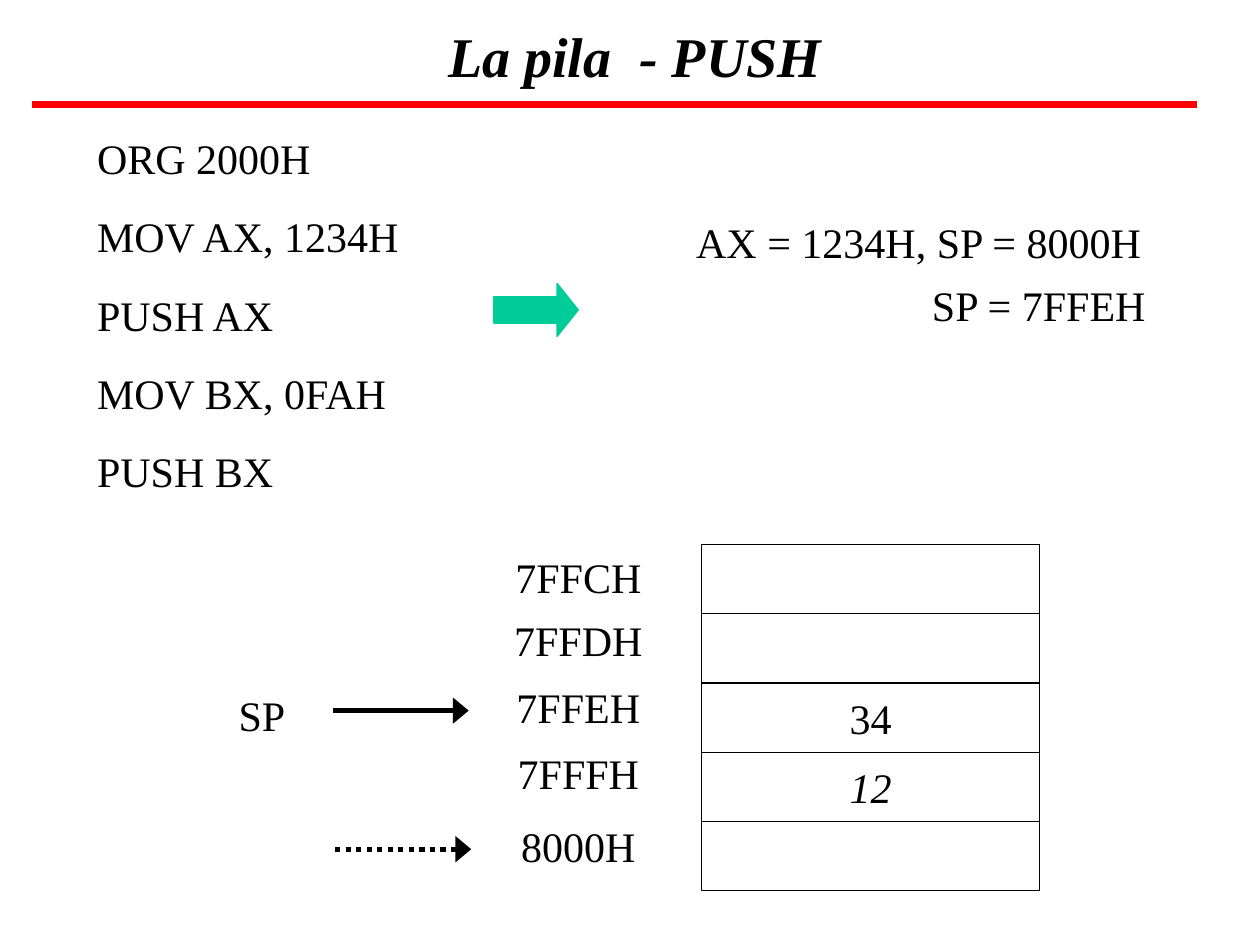
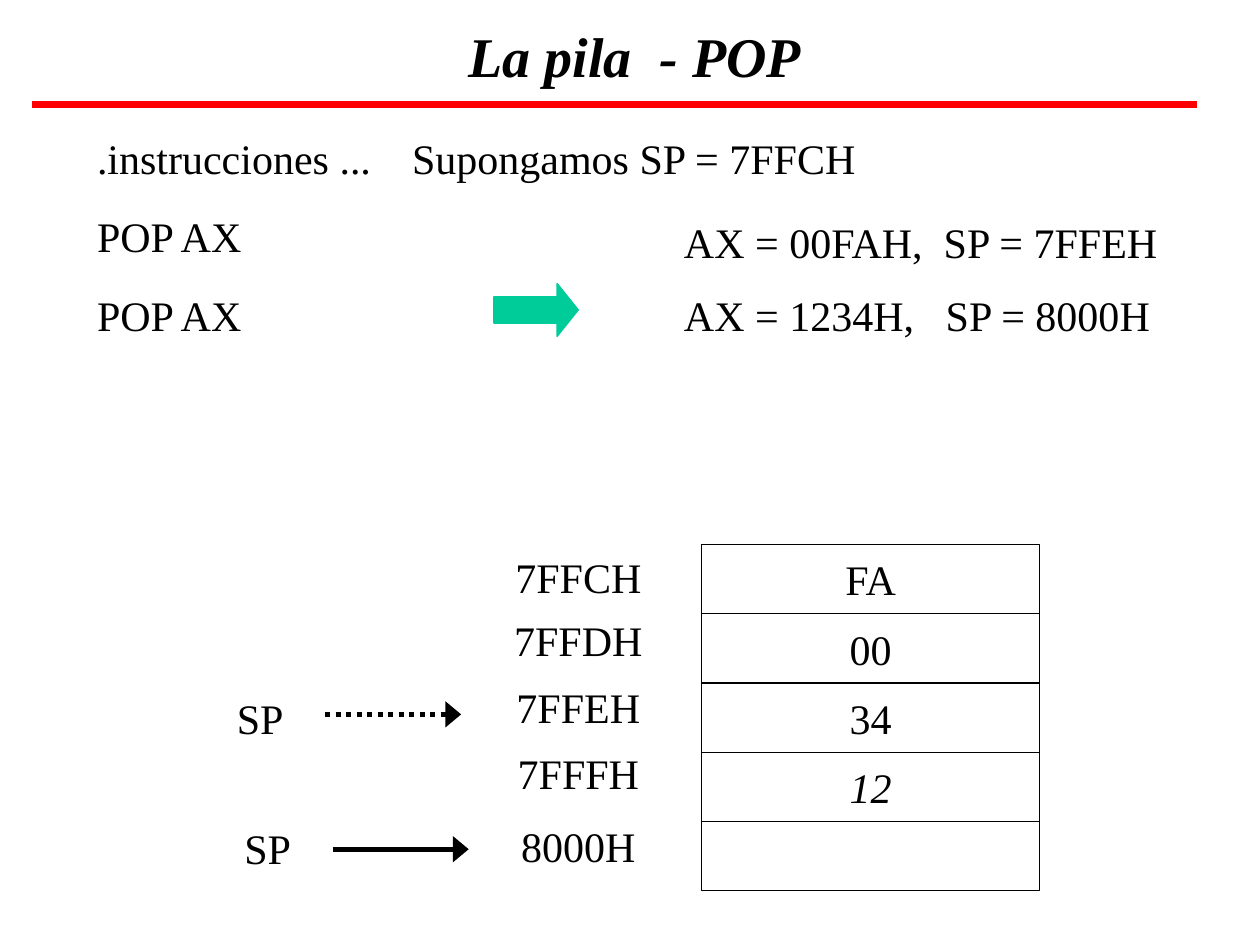
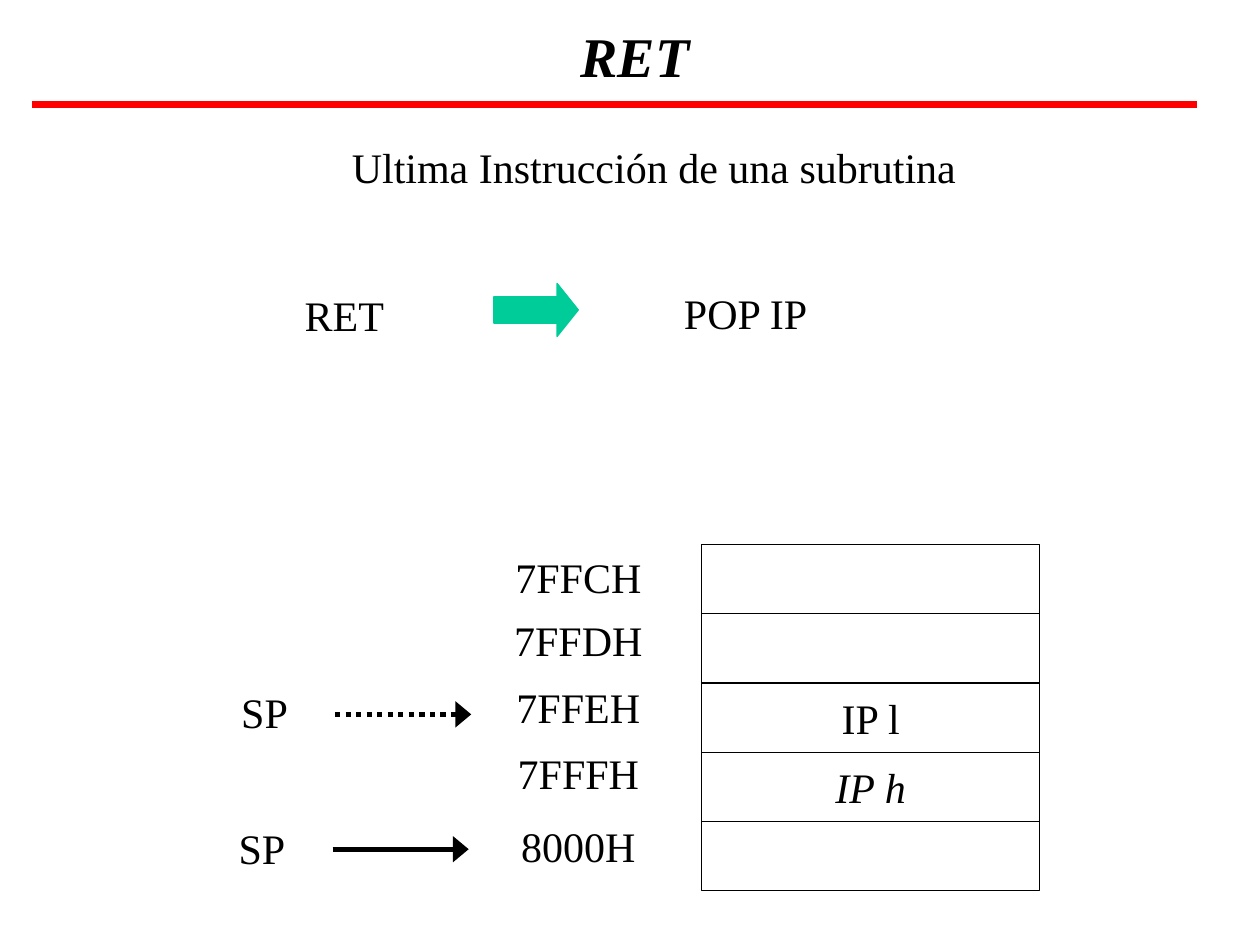
from lxml import etree
from pptx import Presentation
from pptx import util as u
from pptx.dml import color
from pptx.enum import dml, shapes, text
from pptx.oxml import ns

FONT = "Times New Roman"
BLACK, RED, GREEN = "000000", "FF0000", "00CC99"
LEFT, CENTER, RIGHT = text.PP_ALIGN.LEFT, text.PP_ALIGN.CENTER, text.PP_ALIGN.RIGHT
STACK_X, STACK_Y, CELL_W, CELL_H = 5.57, 4.32, 2.68, 0.55
ADDRESSES = [("7FFCH", 4.33), ("7FFDH", 4.83), ("7FFEH", 5.36), ("7FFFH", 5.88), ("8000H", 6.46)]


def rgb(value):
    """Turn a hex string into a colour."""
    return color.RGBColor.from_string(value)


def box(x, y, w, h):
    """Give left, top, width and height as lengths."""
    return [u.Inches(v) for v in (x, y, w, h)]


def child(parent, tag, **attributes):
    """Append a DrawingML element."""
    return etree.SubElement(parent, ns.qn(tag), attributes)


def style(p, align, size=24, bold=False, italic=False):
    """Align a paragraph and format its runs."""
    p.alignment = align
    for r in p.runs:
        r.font.name, r.font.size = FONT, u.Pt(size)
        r.font.bold, r.font.italic = bold, italic
        r.font.color.rgb = rgb(BLACK)


def place(sp, x, y, w, h):
    """Move and size a placeholder."""
    sp.left, sp.top, sp.width, sp.height = box(x, y, w, h)


def add_title(s, title):
    """Fill the title and underline it with the red rule."""
    sp = s.shapes.title
    place(sp, 0.83, 0.02, 8.42, 0.83)
    tf = sp.text_frame
    tf.text = title
    tf.vertical_anchor = text.MSO_ANCHOR.MIDDLE
    style(tf.paragraphs[0], CENTER, 32, True, True)
    add_line(s, 0.25, 9.5, 0.83, RED, 4)


def add_body(s, lines, x, y, h, align=LEFT):
    """Fill the body with unbulleted lines."""
    sp = s.placeholders[1]
    place(sp, x, y, 8.58, h)
    tf = sp.text_frame
    tf.text = "\n".join(lines)
    tf.auto_size = text.MSO_AUTO_SIZE.NONE
    for i, p in enumerate(tf.paragraphs):
        pPr = p._p.get_or_add_pPr()
        pPr.set("marL", "0")
        pPr.set("indent", "0")
        child(pPr, "a:buNone")
        if "\t" in lines[i]:
            tabs = child(pPr, "a:tabLst")
            child(tabs, "a:tab", pos=str(u.Inches(4.58)), algn="l")
        p.space_before = u.Pt(16 if i else 0)
        style(p, align)


def add_label(s, label, x, y, w, align=LEFT):
    """Add a one-line text box."""
    tf = s.shapes.add_textbox(*box(x, y, w, 0.5)).text_frame
    tf.word_wrap = True
    tf.text = label
    style(tf.paragraphs[0], align)


def add_line(s, x1, x2, y, line_color=BLACK, width=3.0):
    """Add a horizontal line."""
    sp = s.shapes.add_connector(shapes.MSO_CONNECTOR.STRAIGHT, *box(x1, y, x2, y))
    sp.line.color.rgb = rgb(line_color)
    sp.line.width = u.Pt(width)
    child(sp._element.spPr, "a:effectLst")
    return sp


def add_pointer(s, x, y, dotted=False):
    """Add a stack pointer arrow, dotted for the earlier position."""
    sp = add_line(s, x, x + 1.08, y)
    if dotted:
        sp.line.dash_style = dml.MSO_LINE.ROUND_DOT
    child(sp.line._get_or_add_ln(), "a:tailEnd", type="triangle", w="lg", len="med")


def add_block_arrow(s):
    """Add the green arrow from instruction to result."""
    sp = s.shapes.add_shape(shapes.MSO_SHAPE.RIGHT_ARROW, *box(3.92, 2.25, 0.67, 0.42))
    sp.adjustments[0], sp.adjustments[1] = 0.5, 0.4
    sp.shadow.inherit = False
    sp.fill.solid()
    sp.fill.fore_color.rgb = sp.line.color.rgb = rgb(GREEN)
    sp.line.width = u.Pt(0.75)


def add_stack(s, values):
    """Draw the memory cells and their addresses."""
    for i, (value, (address, y)) in enumerate(zip(values, ADDRESSES)):
        sp = s.shapes.add_shape(shapes.MSO_SHAPE.RECTANGLE,
                                *box(STACK_X, STACK_Y + i * CELL_H, CELL_W, CELL_H))
        sp.shadow.inherit = False
        sp.fill.background()
        sp.line.color.rgb = rgb(BLACK)
        sp.line.width = u.Pt(0.75)
        if value:
            tf = sp.text_frame
            tf.text = value
            tf.vertical_anchor = text.MSO_ANCHOR.MIDDLE
            style(tf.paragraphs[0], CENTER, italic=i == 3)
        add_label(s, address, 3.84, y, 1.5, CENTER)


def add_slide(prs, title, values):
    """Start a slide with title, stack and green arrow."""
    s = prs.slides.add_slide(prs.slide_layouts[1])
    add_title(s, title)
    add_stack(s, values)
    add_block_arrow(s)
    return s


def main():
    """Build the three slides."""
    prs = Presentation()
    prs.slide_width, prs.slide_height = u.Inches(10), u.Inches(7.5)

    s = add_slide(prs, "La pila  - PUSH", ["", "", "34", "12", ""])
    add_body(s, ["ORG 2000H", "MOV AX, 1234H", "PUSH AX", "MOV BX, 0FAH", "PUSH BX"], 0.67, 1, 3.54)
    add_label(s, "AX = 1234H, SP = 8000H", 5.33, 1.67, 3.92, CENTER)
    add_label(s, "SP = 7FFEH", 5.33, 2.17, 3.86, RIGHT)
    add_label(s, "SP", 1.33, 5.42, 1.5, CENTER)
    add_pointer(s, 2.64, 5.64)
    add_pointer(s, 2.66, 6.74, dotted=True)

    s = add_slide(prs, "La pila  - POP", ["FA", "00", "34", "12", ""])
    add_body(s, [".instrucciones ...\tSupongamos SP = 7FFCH", "POP AX", "POP AX"], 0.67, 1, 2.33)
    add_label(s, "AX = 00FAH,  SP = 7FFEH", 5.33, 1.67, 4.25)
    add_label(s, "AX = 1234H,   SP = 8000H", 5.33, 2.25, 4.25)
    add_label(s, "SP", 1.5, 6.48, 1.25, CENTER)
    add_pointer(s, 2.64, 6.74)
    add_label(s, "SP", 1.44, 5.45, 1.25, CENTER)
    add_pointer(s, 2.58, 5.67, dotted=True)

    s = add_slide(prs, "RET", ["", "", "IP l", "IP h", ""])
    add_body(s, ["Ultima Instrucción de una subrutina"], 0.9, 1.07, 0.5, CENTER)
    add_label(s, "RET", 2.32, 2.25, 1.66)
    add_label(s, "POP IP", 5.33, 2.23, 3.92)
    add_label(s, "SP", 1.33, 6.48, 1.5, CENTER)
    add_pointer(s, 2.64, 6.74)
    add_label(s, "SP", 1.35, 5.4, 1.5, CENTER)
    add_pointer(s, 2.66, 5.67, dotted=True)

    prs.save("out.pptx")


if __name__ == "__main__":
    main()
